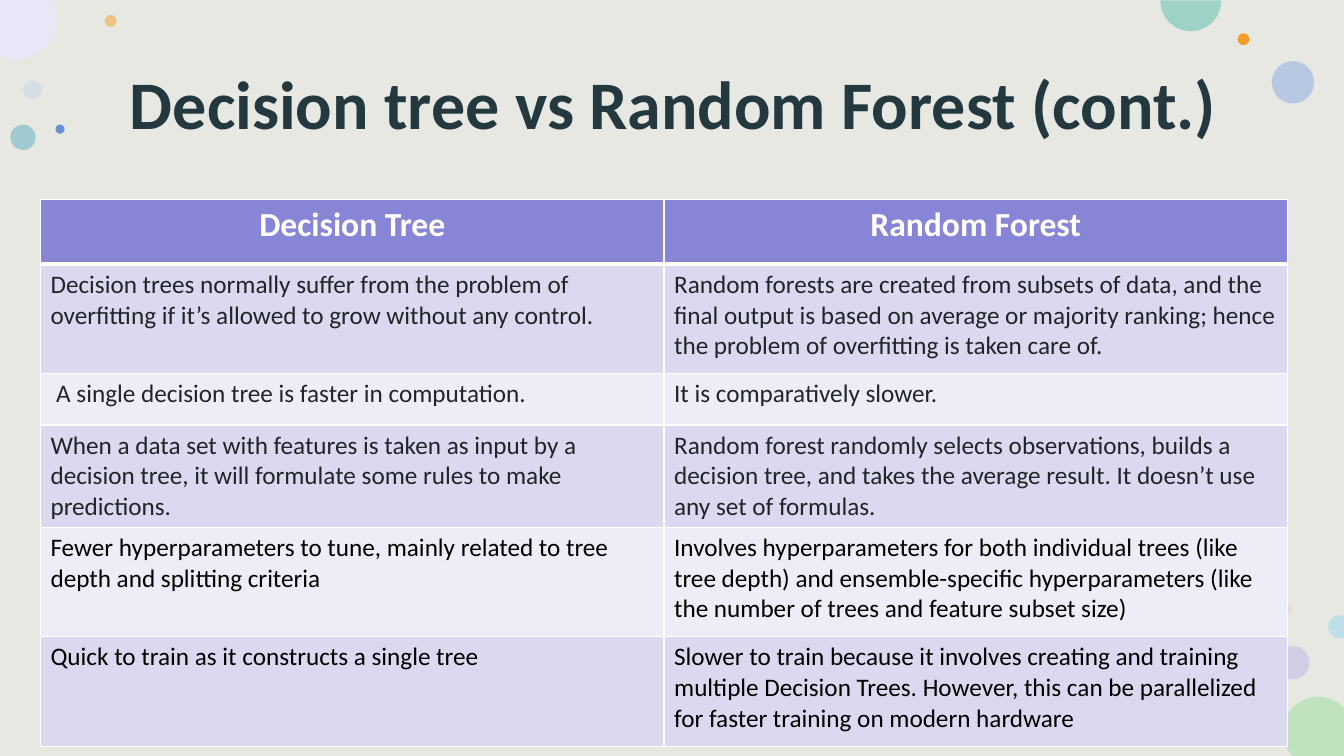
from math import cos, radians, sin

from lxml.etree import SubElement
from pptx import Presentation
from pptx.dml.color import RGBColor
from pptx.enum.shapes import MSO_SHAPE as Preset
from pptx.enum.text import MSO_ANCHOR as Anchor, MSO_AUTO_SIZE as AutoSize, PP_ALIGN as Align
from pptx.oxml import parse_xml
from pptx.oxml.ns import nsdecls, qn
from pptx.util import Cm, Pt

SLIDE_W, SLIDE_H = 33.87, 19.05
FONT = "Calibri"
WHITE, INK, BLACK = "FFFFFF", "212529", "000000"
HEADER_FILL, BAND_FILLS = "8885D7", ("DAD9F0", "EDEDF8")

# left, top, diameter, colour, opacity in percent
BUBBLES = [
    (0.58, 2.02, 0.48, "C3D3EB", 50),
    (2.64, 0.38, 0.3, "F39E29", 50),
    (32.16, 16.28, 0.84, "B8B6E7", 50),
    (0.26, 3.14, 0.64, "5AAEC3", 50),
    (32.05, 1.54, 1.07, "A6BCE2", 72),
    (31.19, 0.84, 0.3, "F39E29", 100),
    (32.31, 15.24, 0.25, "E3BEBE", 28),
    (1.4, 3.14, 0.23, "6A90CE", 100),
]
# centre x, centre y, radius, first and last angle in degrees, slide corners inside, colour
EDGE_BUBBLES = [
    (33.22, 18.44, 0.89, 137, 317, [(SLIDE_W, SLIDE_H)], "C0E2BF"),
    (0.43, 0.5, 0.99, -30, 116, [(0, 0)], "E7E7F7"),
    (30.01, 0.02, 0.77, -1, 181, [], "9ED2C7"),
    (33.76, 15.79, 0.29, 68, 292, [], "BDDFE7"),
]
HEADINGS = ("Decision Tree", "Random Forest")
# row height, text colour, decision tree, random forest
COMPARISONS = [
    (2.76, INK,
     "Decision trees normally suffer from the problem of overfitting if it’s allowed to grow "
     "without any control.",
     "Random forests are created from subsets of data, and the final output is based on average "
     "or majority ranking; hence the problem of overfitting is taken care of."),
    (1.29, INK,
     " A single decision tree is faster in computation.",
     "It is comparatively slower."),
    (2.49, INK,
     "When a data set with features is taken as input by a decision tree, it will formulate some "
     "rules to make predictions.",
     "Random forest randomly selects observations, builds a decision tree, and takes the average "
     "result. It doesn’t use any set of formulas."),
    (2.76, BLACK,
     "Fewer hyperparameters to tune, mainly related to tree depth and splitting criteria",
     "Involves hyperparameters for both individual trees (like tree depth) and ensemble-specific "
     "hyperparameters (like the number of trees and feature subset size)"),
    (2.76, BLACK,
     "Quick to train as it constructs a single tree",
     "Slower to train because it involves creating and training multiple Decision Trees. However, "
     "this can be parallelized for faster training on modern hardware"),
]


def rgb(color):
    """Turn a hex string into a colour."""
    return RGBColor.from_string(color)


def write(frame, text, size=18, color=INK, bold=False, align=Align.LEFT, spacing=1.0):
    """Put one formatted paragraph into a text frame."""
    paragraph = frame.paragraphs[0]
    paragraph.alignment = align
    paragraph.line_spacing = spacing
    run = paragraph.add_run()
    run.text = text
    run.font.name = FONT
    run.font.size = Pt(size)
    run.font.bold = bold
    run.font.color.rgb = rgb(color)


def paint(part, color, opacity=100):
    """Give a backdrop part a flat fill without line or shadow."""
    part.shadow.inherit = False
    part.line.fill.background()
    part.fill.solid()
    part.fill.fore_color.rgb = rgb(color)
    if opacity < 100:
        tint = part.element.spPr.find(qn("a:solidFill")).find(qn("a:srgbClr"))
        SubElement(tint, qn("a:alpha"), val=str(opacity * 1000))


def add_preset(slide, preset, left, top, width, height, color, opacity=100):
    """Add a painted preset shape."""
    part = slide.shapes.add_shape(preset, Cm(left), Cm(top), Cm(width), Cm(height))
    paint(part, color, opacity)


def add_edge_bubble(slide, center_x, center_y, radius, first, last, corners, color, steps=12):
    """Draw the part of a circle that lies inside the slide."""
    angles = [radians(first + (last - first) * step / steps) for step in range(steps + 1)]
    arc = [(center_x + radius * cos(angle), center_y + radius * sin(angle)) for angle in angles]
    outline = [(Cm(min(max(x, 0), SLIDE_W)), Cm(min(max(y, 0), SLIDE_H)))
               for x, y in arc + corners]
    builder = slide.shapes.build_freeform(*outline[0])
    builder.add_line_segments(outline[1:], close=True)
    paint(builder.convert_to_shape(), color)


def add_backdrop(slide):
    """Cover the slide with its ground colour and scatter the bubbles."""
    add_preset(slide, Preset.RECTANGLE, 0, 0, SLIDE_W, SLIDE_H, "E8E8E2")
    for left, top, diameter, color, opacity in BUBBLES:
        add_preset(slide, Preset.OVAL, left, top, diameter, diameter, color, opacity)
    for edge_bubble in EDGE_BUBBLES:
        add_edge_bubble(slide, *edge_bubble)


def add_title(slide, text, left, top, width, height):
    """Place and fill the title placeholder in front of the backdrop."""
    title = slide.shapes.title
    slide.shapes.element.append(title.element)
    title.left, title.top, title.width, title.height = map(Cm, (left, top, width, height))
    title.text_frame.auto_size = AutoSize.NONE
    title.text_frame.word_wrap = True
    title.text_frame.vertical_anchor = Anchor.MIDDLE
    write(title.text_frame, text, size=48.6, color="24393F", bold=True,
          align=Align.CENTER, spacing=0.9)


def style_cell(cell, fill, top=1, bottom=1):
    """Set a cell's white borders and its fill."""
    properties = cell._tc.get_or_add_tcPr()
    for side, width in (("L", 1), ("R", 1), ("T", top), ("B", bottom)):
        properties.append(parse_xml(
            f'<a:ln{side} {nsdecls("a")} w="{Pt(width)}"><a:solidFill>'
            f'<a:srgbClr val="{WHITE}"/></a:solidFill></a:ln{side}>'))
    cell.fill.solid()
    cell.fill.fore_color.rgb = rgb(fill)


def add_comparison(slide, left, top, width, header_height):
    """Build the two-column comparison table."""
    heights = [header_height] + [comparison[0] for comparison in COMPARISONS]
    table = slide.shapes.add_table(
        len(heights), len(HEADINGS), Cm(left), Cm(top), Cm(width), Cm(sum(heights))).table
    for column in table.columns:
        column.width = Cm(width / len(HEADINGS))
    for row, height in zip(table.rows, heights):
        row.height = Cm(height)
    for column, heading in enumerate(HEADINGS):
        cell = table.cell(0, column)
        style_cell(cell, HEADER_FILL, bottom=3)
        write(cell.text_frame, heading, size=24, color=WHITE, bold=True, align=Align.CENTER)
    for index, (_, color, *statements) in enumerate(COMPARISONS):
        for column, statement in enumerate(statements):
            cell = table.cell(index + 1, column)
            style_cell(cell, BAND_FILLS[index % 2], top=1 if index else 3)
            write(cell.text_frame, statement, color=color)


def main():
    """Build the slide and save it."""
    deck = Presentation()
    deck.slide_width, deck.slide_height = Cm(SLIDE_W), Cm(SLIDE_H)
    slide = deck.slides.add_slide(deck.slide_layouts.get_by_name("Title Only"))
    add_backdrop(slide)
    add_title(slide, "Decision tree vs Random Forest (cont.)", 2.16, 0.67, 29.62, 4.09)
    add_comparison(slide, 1.02, 5.03, 31.43, 1.63)
    deck.save("out.pptx")


if __name__ == "__main__":
    main()
